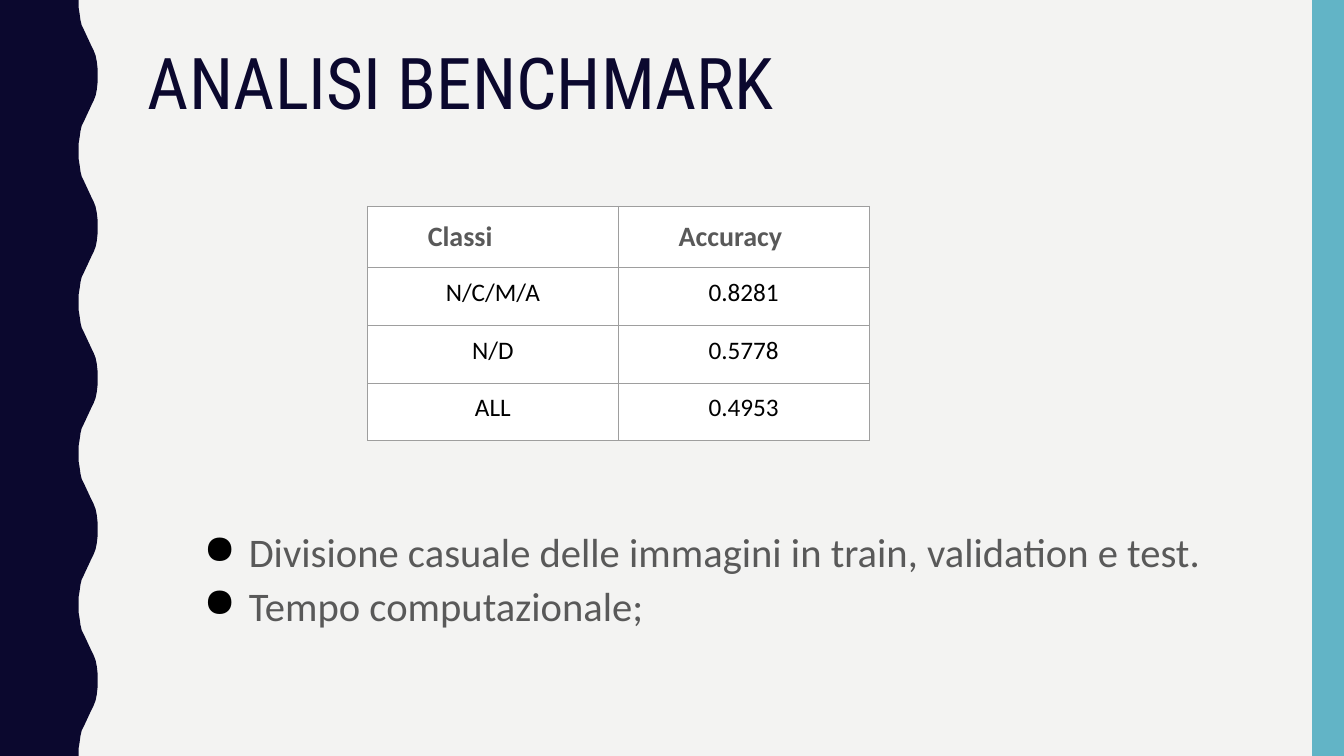
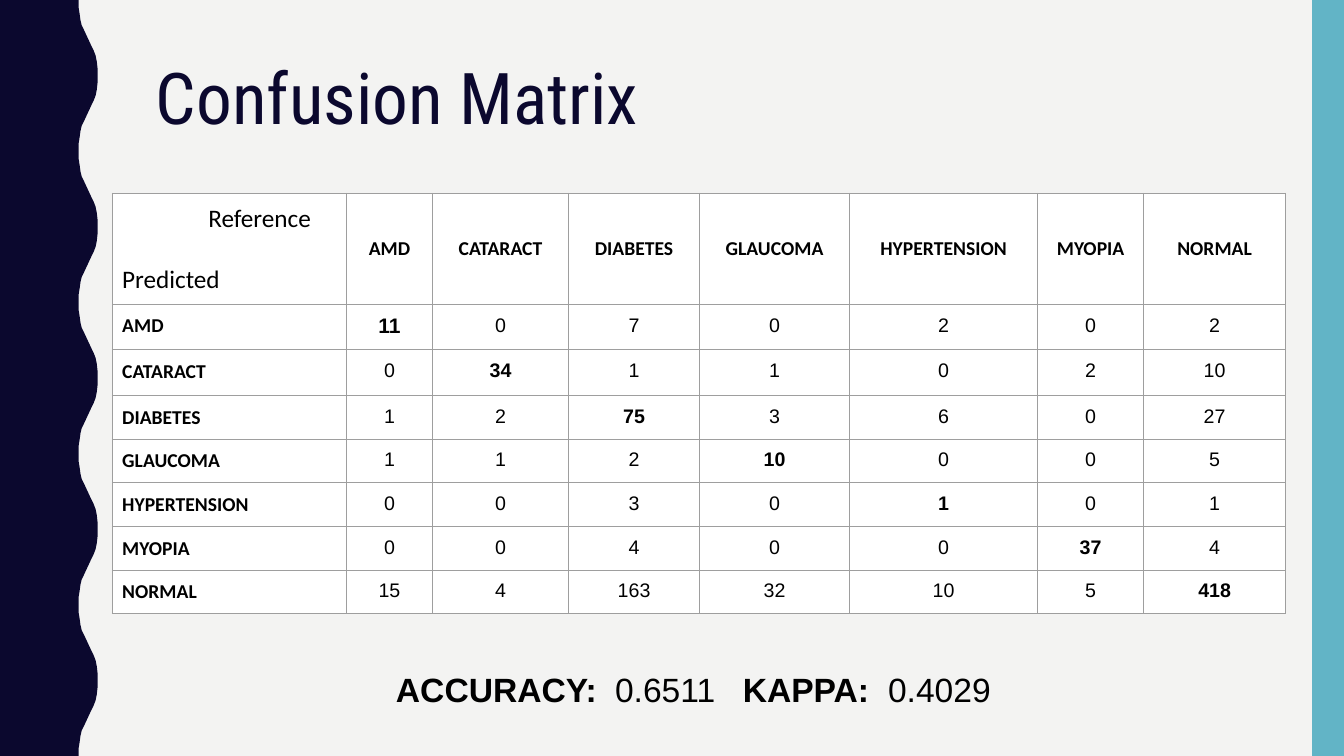
"""Build two slides on a benchmark analysis and its confusion matrix."""
import lxml.etree
import pptx
import pptx.dml.color
import pptx.enum.shapes
import pptx.enum.text
import pptx.oxml.ns
import pptx.util

Cm = pptx.util.Cm
Pt = pptx.util.Pt
CENTER = pptx.enum.text.PP_ALIGN.CENTER
MIDDLE = pptx.enum.text.MSO_ANCHOR.MIDDLE

WIDTH, HEIGHT = 33.87, 19.05
PAPER, NAVY, TEAL = "F3F3F2", "0B082E", "62B4C6"
WHITE, BLACK, GREY, RULE = "FFFFFF", "000000", "595959", "9E9E9E"
TITLE_FONT, BODY_FONT, NUMBER_FONT = "Roboto Condensed", "Calibri", "Arial"

WAVE_PERIOD = 3.81
HALF_WAVE = [(1.98, 0), (1.98, 0.18), (2.01, 0.36), (2.03, 0.51), (2.06, 0.64),
             (2.11, 0.74), (2.31, 1.17), (2.36, 1.27), (2.41, 1.4),
             (2.44, 1.55), (2.46, 1.73), (2.46, 1.9)]

BENCHMARK = [("Classi", "Accuracy"), ("N/C/M/A", "0.8281"),
             ("N/D", "0.5778"), ("ALL", "0.4953")]
CLASSES = ["AMD", "CATARACT", "DIABETES", "GLAUCOMA", "HYPERTENSION",
           "MYOPIA", "NORMAL"]
COUNTS = [(11, 0, 7, 0, 2, 0, 2),
          (0, 34, 1, 1, 0, 2, 10),
          (1, 2, 75, 3, 6, 0, 27),
          (1, 1, 2, 10, 0, 0, 5),
          (0, 0, 3, 0, 1, 0, 1),
          (0, 0, 4, 0, 0, 37, 4),
          (15, 4, 163, 32, 10, 5, 418)]


def color(value):
    """Turn a hex string into a colour."""
    return pptx.dml.color.RGBColor.from_string(value)


def add_element(parent, tag, **attributes):
    """Append a drawing element to a parent and return it."""
    return lxml.etree.SubElement(parent, pptx.oxml.ns.qn(tag), attributes)


def style(font, name, size, ink, bold=False):
    """Set the look of a font."""
    font.name, font.size, font.bold = name, Pt(size), bold
    font.color.rgb = color(ink)


def indent(para, left, hanging=0):
    """Indent a paragraph, with an optional hanging first line."""
    properties = para._p.get_or_add_pPr()
    properties.set("marL", str(Cm(left)))
    properties.set("indent", str(-Cm(hanging)))


def paint(shape, fill):
    """Give a shape a plain fill without line or shadow."""
    shape.shadow.inherit = False
    shape.fill.solid()
    shape.fill.fore_color.rgb = color(fill)
    shape.line.fill.background()


def add_wave(page):
    """Draw the navy band with a wavy right edge."""
    mirrored = [(x, WAVE_PERIOD - y) for x, y in reversed(HALF_WAVE)]
    edge = [(Cm(x), Cm(y + WAVE_PERIOD * turn))
            for turn in range(5) for x, y in HALF_WAVE + mirrored]
    builder = page.shapes.build_freeform(0, 0)
    builder.add_line_segments(edge + [(0, Cm(HEIGHT))], close=True)
    paint(builder.convert_to_shape(), NAVY)


def add_text_box(page, left, top, width, height, margin=0.13):
    """Add a wrapping text box and return its text frame."""
    box = page.shapes.add_textbox(Cm(left), Cm(top), Cm(width), Cm(height))
    frame = box.text_frame
    frame.word_wrap = True
    frame.margin_left = frame.margin_right = Cm(0.25)
    frame.margin_top = frame.margin_bottom = Cm(margin)
    return frame


def add_page(deck, title, left, top):
    """Add a slide with its bands and title."""
    page = deck.slides.add_slide(deck.slide_layouts[6])
    add_wave(page)
    stripe = page.shapes.add_shape(
        pptx.enum.shapes.MSO_SHAPE.RECTANGLE,
        Cm(33.07), 0, Cm(WIDTH - 33.07), Cm(HEIGHT))
    paint(stripe, TEAL)
    para = add_text_box(page, left, top, 28.27, 4.14).paragraphs[0]
    para.text = title
    para.line_spacing = 0.9
    style(para.runs[0].font, TITLE_FONT, 51, NAVY)
    return page


def add_bullets(page, left, top, width, height, items):
    """Add a bulleted list."""
    frame = add_text_box(page, left, top, width, height)
    frame.text = "\n".join(items)
    for para in frame.paragraphs:
        para.line_spacing = 1.1
        indent(para, 2.54, 1.14)
        properties = para._p.get_or_add_pPr()
        bullet_color = add_element(properties, "a:buClr")
        add_element(bullet_color, "a:srgbClr", val=BLACK)
        add_element(properties, "a:buChar", char="●")
        style(para.runs[0].font, BODY_FONT, 29, GREY)


def add_scores(page, left, top, width, height, scores, stops):
    """Add a line of bold labels and values set on tab stops."""
    para = add_text_box(page, left, top, width, height, 0.25).paragraphs[0]
    tabs = add_element(para._p.get_or_add_pPr(), "a:tabLst")
    for stop in stops:
        add_element(tabs, "a:tab", pos=str(Cm(stop)), algn="l")
    for number, part in enumerate(scores):
        span = para.add_run()
        span.text = f"\t{part}" if number else part
        style(span.font, NUMBER_FONT, 24, BLACK, number % 2 == 0)


def add_grid(page, left, top, widths, heights):
    """Add an empty white table with thin grey rules."""
    table = page.shapes.add_table(
        len(heights), len(widths), Cm(left), Cm(top),
        Cm(sum(widths)), Cm(sum(heights))).table
    table.first_row = table.horz_banding = False
    for column, width in zip(table.columns, widths):
        column.width = Cm(width)
    for row, height in zip(table.rows, heights):
        row.height = Cm(height)
    for cell in table.iter_cells():
        cell.margin_left = cell.margin_right = Cm(0.25)
        cell.margin_top = cell.margin_bottom = Cm(0.25)
        for side in ("a:lnL", "a:lnR", "a:lnT", "a:lnB"):
            line = add_element(cell._tc.get_or_add_tcPr(), side, w=str(Pt(0.75)))
            add_element(add_element(line, "a:solidFill"), "a:srgbClr", val=RULE)
        cell.fill.solid()
        cell.fill.fore_color.rgb = color(WHITE)
    return table


def write_cell(cell, text, name, size, ink=BLACK, bold=False, align=None):
    """Write and format the text of a cell."""
    cell.text_frame.text = text
    for para in cell.text_frame.paragraphs:
        para.alignment = align
        style(para.runs[0].font, name, size, ink, bold)


def add_benchmark(page):
    """Add the accuracy table by class group."""
    table = add_grid(page, 9.26, 5.2, [6.32] * 2, [1.55] + [1.45] * 3)
    for row, values in enumerate(BENCHMARK):
        for column, text in enumerate(values):
            cell = table.cell(row, column)
            if row:
                write_cell(cell, text, BODY_FONT, 18, align=CENTER)
            else:
                write_cell(cell, text, BODY_FONT, 20, GREY, True)
                para = cell.text_frame.paragraphs[0]
                para.line_spacing = 1.1
                indent(para, 1.27)


def add_confusion_matrix(page):
    """Add the confusion matrix with a bold diagonal."""
    table = add_grid(page, 2.83, 4.87,
                     [5.9, 2.17, 3.43, 3.3, 3.78, 4.74, 2.67, 3.58],
                     [2.79, 1.13, 1.16] + [1.1] * 5)
    corner = table.cell(0, 0)
    write_cell(corner, "Reference\nPredicted", BODY_FONT, 18)
    reference, predicted = corner.text_frame.paragraphs
    indent(reference, 2.17)
    predicted.space_before = Pt(22)
    for row, (label, counts) in enumerate(zip(CLASSES, COUNTS), 1):
        heading = table.cell(0, row)
        heading.vertical_anchor = MIDDLE
        write_cell(heading, label, BODY_FONT, 14, bold=True, align=CENTER)
        write_cell(table.cell(row, 0), label, BODY_FONT, 14, bold=True)
        for column, count in enumerate(counts, 1):
            size = 15 if row == column == 1 else 14
            write_cell(table.cell(row, column), str(count), NUMBER_FONT, size,
                       bold=row == column, align=CENTER)


def main():
    """Build and save the deck."""
    deck = pptx.Presentation()
    deck.slide_width, deck.slide_height = Cm(WIDTH), Cm(HEIGHT)
    backdrop = deck.slide_master.background.fill
    backdrop.solid()
    backdrop.fore_color.rgb = color(PAPER)

    page = add_page(deck, "ANALISI BENCHMARK", 3.48, 1.07)
    add_bullets(page, 3.48, 13.03, 28.27, 5, [
        "Divisione casuale delle immagini in train, validation e test.",
        "Tempo computazionale;"])
    add_benchmark(page)

    page = add_page(deck, "Confusion Matrix", 3.68, 1.45)
    add_scores(page, 9.73, 16.61, 16.5, 2.13,
               ["ACCURACY:", "0.6511", "KAPPA:", "0.4029"], [5.52, 8.74, 12.4])
    add_confusion_matrix(page)

    deck.save("out.pptx")


if __name__ == "__main__":
    main()
